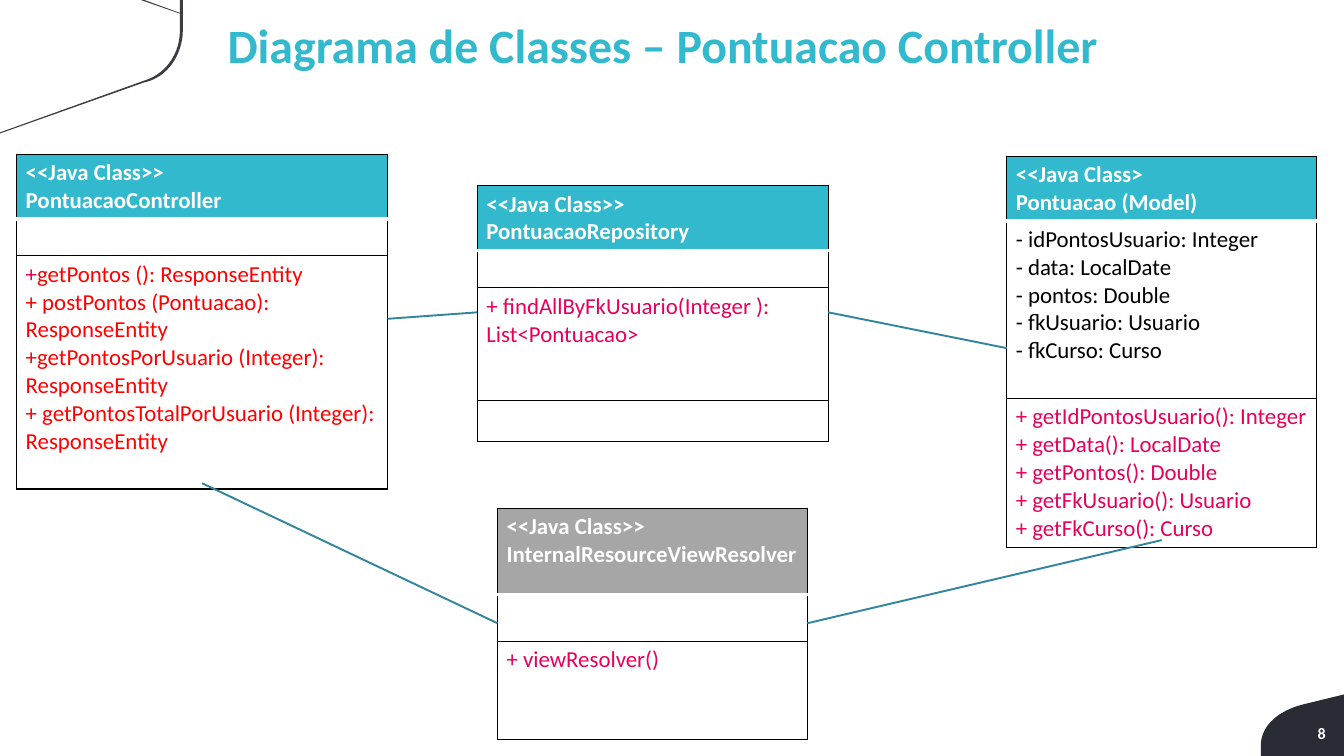
from dataclasses import dataclass

from lxml.etree import SubElement
from pptx import Presentation
from pptx.dml.color import RGBColor
from pptx.enum.shapes import MSO_CONNECTOR as Link
from pptx.enum.text import MSO_ANCHOR as Anchor, MSO_AUTO_SIZE as Fit, PP_ALIGN as Align
from pptx.oxml.ns import qn
from pptx.util import Cm, Pt


@dataclass(frozen=True)
class Theme:
    font: str = "Calibri"
    teal: str = "32B9CD"
    gray: str = "A6A6A6"
    white: str = "FFFFFF"
    black: str = "000000"
    pink: str = "E6005A"
    red: str = "FF0000"
    link: str = "31859C"
    swoosh: str = "3B3D42"
    corner: str = "292C34"
    title_size: float = 37.7
    text_size: float = 18
    number_size: float = 12.6
    thin: float = 1
    thick: float = 3
    link_width: float = 1.5


T = Theme()
WIDTH, HEIGHT = 37.34, 21.01
TITLE = "Diagrama de Classes – Pontuacao Controller"
NUMBER = "8"

CLASSES = {
    "controller": dict(
        box=(0.46, 4.29, 10.31, 9.14), head=T.teal,
        rows=[
            (1.8, T.white, ["<<Java Class>>", "PontuacaoController"]),
            (1.02, T.black, []),
            (6.48, T.red, [
                [("+", T.pink), ("getPontos (): ResponseEntity", T.red)],
                "+ postPontos (Pontuacao): ResponseEntity",
                "+getPontosPorUsuario (Integer):",
                "ResponseEntity",
                "+ getPontosTotalPorUsuario (Integer): ResponseEntity",
            ]),
        ]),
    "model": dict(
        box=(27.97, 4.34, 8.61, 10.67), head=T.teal,
        rows=[
            (1.8, T.white, ["<<Java Class>", "Pontuacao (Model)"]),
            (4.93, T.black, [
                "- idPontosUsuario: Integer",
                "- data: LocalDate",
                "- pontos: Double",
                "- fkUsuario: Usuario",
                "- fkCurso: Curso",
            ]),
            (4.14, T.pink, [
                "+ getIdPontosUsuario(): Integer",
                "+ getData(): LocalDate",
                "+ getPontos(): Double",
                "+ getFkUsuario(): Usuario",
                "+ getFkCurso(): Curso",
            ]),
        ]),
    "repository": dict(
        box=(13.26, 5.16, 9.75, 7.04), head=T.teal,
        rows=[
            (1.8, T.white, ["<<Java Class>>", "PontuacaoRepository"]),
            (1.04, T.black, []),
            (3.12, T.pink, ["+ findAllByFkUsuario(Integer ):", "List<Pontuacao>"]),
            (1.14, T.black, []),
        ]),
    "resolver": dict(
        box=(13.82, 14.12, 8.61, 6.4), head=T.gray,
        rows=[
            (2.41, T.white, ["<<Java Class>>", "InternalResourceViewResolver"]),
            (1.3, T.black, []),
            (2.72, T.pink, ["+ viewResolver()"]),
        ]),
}

LEFT, BOTTOM, RIGHT = 1, 2, 3
LINKS = [
    ("controller", RIGHT, "repository", LEFT),
    ("controller", BOTTOM, "resolver", LEFT),
    ("repository", RIGHT, "model", LEFT),
    ("resolver", RIGHT, "model", BOTTOM),
]


def curve(a, b, c, d, steps=24):
    def at(t):
        u = 1 - t
        weights = (u**3, 3 * u * u * t, 3 * u * t * t, t**3)
        return tuple(sum(w * p[i] for w, p in zip(weights, (a, b, c, d))) for i in (0, 1))
    return [at(k / steps) for k in range(steps + 1)]


OUTLINES = [
    (T.corner, [(WIDTH, 19.3),
                *curve((36.2, 19.58), (35.56, 19.74), (35.03, 20.14), (35.03, 20.73)),
                (35.03, HEIGHT), (WIDTH, HEIGHT)]),
    (T.swoosh, [(0, 3.71),
                *curve((4.01, 2.29), (4.65, 2.16), (5.08, 1.52), (5.08, 0.84)),
                (5.08, 0), (5, 0), (5, 0.36), (4.01, 0), (3.91, 0), (5, 0.38),
                *curve((5, 0.84), (5, 1.5), (4.6, 2.06), (4.01, 2.24)),
                (0, 3.68)]),
]


def rgb(color):
    return RGBColor.from_string(color)


def add_run(p, text, size, color, bold):
    r = p.add_run()
    r.text = text
    r.font.name, r.font.size, r.font.bold = T.font, Pt(size), bold
    r.font.color.rgb = rgb(color)


def add_outline(slide, color, points):
    start, *rest = [(Cm(x), Cm(y)) for x, y in points]
    builder = slide.shapes.build_freeform(*start)
    builder.add_line_segments(rest, close=True)
    s = builder.convert_to_shape()
    s.shadow.inherit = False
    s.fill.solid()
    s.fill.fore_color.rgb = rgb(color)
    s.line.fill.background()


def set_border(cell, side, color, width):
    ln = SubElement(cell._tc.get_or_add_tcPr(), qn(f"a:ln{side}"), w=str(Pt(width)))
    SubElement(SubElement(ln, qn("a:solidFill")), qn("a:srgbClr"), val=color)


def add_class(slide, box, head, rows):
    left, top, width, height = map(Cm, box)
    s = slide.shapes.add_table(len(rows), 1, left, top, width, height)
    for i, (row_height, color, lines) in enumerate(rows):
        s.table.rows[i].height = Cm(row_height)
        cell = s.table.cell(i, 0)
        for side in "LRTB":
            under_head = (i, side) in ((0, "B"), (1, "T"))
            set_border(cell, side, T.white if under_head else T.black,
                       T.thick if (i, side) == (0, "B") else T.thin)
        cell.fill.solid()
        cell.fill.fore_color.rgb = rgb(T.white if i else head)
        tf = cell.text_frame
        for k, line in enumerate(lines):
            p = tf.add_paragraph() if k else tf.paragraphs[0]
            for text, run_color in [(line, color)] if isinstance(line, str) else line:
                add_run(p, text, T.text_size, run_color, i == 0)
    s.height = height
    return s


def add_link(slide, source, source_side, target, target_side):
    s = slide.shapes.add_connector(Link.STRAIGHT, 0, 0, 0, 0)
    s.begin_connect(source, source_side)
    s.end_connect(target, target_side)
    s.line.color.rgb = rgb(T.link)
    s.line.width = Pt(T.link_width)
    SubElement(s._element.spPr, qn("a:effectLst"))


def main():
    prs = Presentation()
    prs.slide_width, prs.slide_height = Cm(WIDTH), Cm(HEIGHT)
    slide = prs.slides.add_slide(prs.slide_layouts[5])
    for color, points in OUTLINES:
        add_outline(slide, color, points)

    s = slide.shapes.title
    s.left, s.top, s.width, s.height = Cm(6.07), Cm(0.3), Cm(29.95), Cm(2.13)
    tf = s.text_frame
    tf.auto_size, tf.vertical_anchor, tf.word_wrap = Fit.NONE, Anchor.TOP, True
    tf.paragraphs[0].alignment = Align.LEFT
    add_run(tf.paragraphs[0], TITLE, T.title_size, T.teal, True)

    s = slide.shapes.add_textbox(Cm(35.13), Cm(20.09), Cm(1.75), Cm(0.58))
    tf = s.text_frame
    tf.word_wrap, tf.vertical_anchor = True, Anchor.MIDDLE
    tf.margin_left = tf.margin_right = Cm(0.05)
    tf.margin_top = tf.margin_bottom = Cm(0.03)
    tf.paragraphs[0].alignment = Align.RIGHT
    add_run(tf.paragraphs[0], NUMBER, T.number_size, T.white, True)

    tables = {name: add_class(slide, **data) for name, data in CLASSES.items()}
    for source, source_side, target, target_side in LINKS:
        add_link(slide, tables[source], source_side, tables[target], target_side)
    prs.save("out.pptx")


if __name__ == "__main__":
    main()
